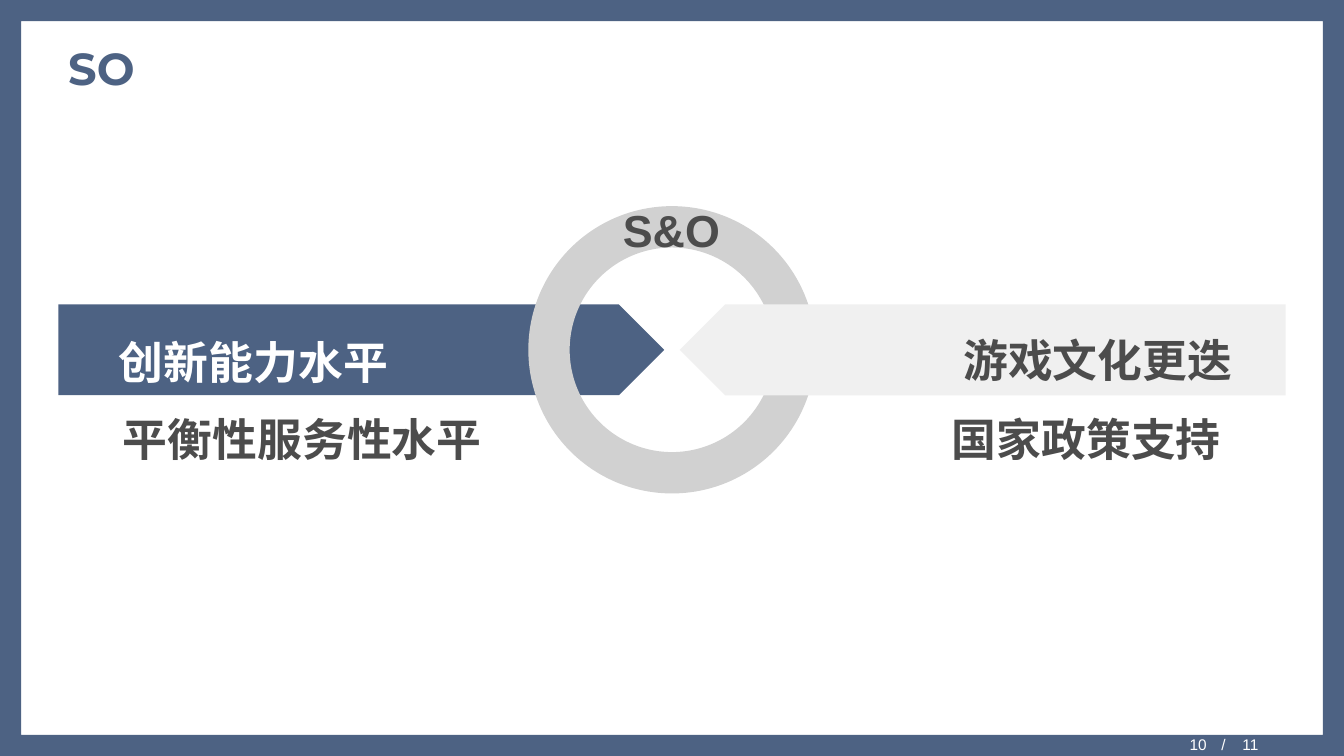
from pptx import Presentation
from pptx.dml.color import RGBColor
from pptx.enum.shapes import MSO_SHAPE as SHAPE
from pptx.enum.text import MSO_ANCHOR as ANCHOR, PP_ALIGN as ALIGN
from pptx.oxml import parse_xml
from pptx.oxml.ns import nsdecls
from pptx.util import Cm, Pt

# Content
BLUE, GREY, PALE, DARK, WHITE = "4D6283", "D1D1D1", "F0F0F0", "4C4C4C", "FFFFFF"
WIDE, HIGH = 33.87, 19.05
MONT, ARIAL = "Montserrat", "Arial"
LEFT, MID, RIGHT = ALIGN.LEFT, ALIGN.CENTER, ALIGN.RIGHT
TITLE = ("SO", 1.47, 0.71, 30.94, 2.01)
# text, left, top, width, height, font, colour, alignment, wrap
LABELS = [
    ("创新能力水平", 2.72, 8.05, 7.34, 1.78, MONT, WHITE, MID, False),
    ("游戏文化更迭", 24, 7.98, 7.34, 1.78, MONT, DARK, MID, False),
    ("平衡性服务性水平", 2.85, 9.98, 10.57, 5.51, ARIAL, DARK, LEFT, True),
    ("国家政策支持", 20.45, 9.98, 10.57, 5.51, MONT, DARK, RIGHT, True),
    ("S&O", 13.49, 4.72, 6.86, 4.9, ARIAL, DARK, MID, False),
]
PAGE = ("10", 24.08, 18.59, 6.58, 0.46)
TOTAL = ("/\t11", 30.53, 18.54, 3.33, 0.46)
TAB = 0.53

deck = Presentation()
deck.slide_width, deck.slide_height = Cm(WIDE), Cm(HIGH)
slide = deck.slides.add_slide(deck.slide_layouts[6])


def paint(fill, color):
    fill.solid()
    fill.fore_color.rgb = RGBColor.from_string(color)


def draw(kind, box, color, adjust=None):
    shape = slide.shapes.add_shape(kind, *map(Cm, box))
    shape.shadow.inherit = False
    shape.line.fill.background()
    paint(shape.fill, color)
    if adjust is not None:
        shape.adjustments[0] = adjust
    return shape


def write(text, *box, size=32, font=MONT, color=DARK, align=LEFT,
          wrap=True, anchor=ANCHOR.TOP, bold=True, tab=None):
    frame = slide.shapes.add_textbox(*map(Cm, box)).text_frame
    frame.word_wrap = wrap
    frame.vertical_anchor = anchor
    para = frame.paragraphs[0]
    para.text = text
    para.alignment = align
    if tab:
        para._p.get_or_add_pPr().append(parse_xml(
            f'<a:tabLst {nsdecls("a")}><a:tab pos="{Cm(tab)}" algn="l"/></a:tabLst>'))
    para.font.name, para.font.size, para.font.bold = font, Pt(size), bold
    paint(para.font.fill, color)
    return frame


# Frame and title
paint(slide.background.fill, WHITE)
draw(SHAPE.FRAME, (0, 0, WIDE, HIGH), BLUE, 0.028)
write(*TITLE, color=BLUE, anchor=ANCHOR.MIDDLE)

# Arrows mirrored about the ring: left one behind it, right one in front
edge, top, length, tall, ring = 1.47, 7.67, 15.27, 2.29, 7.24
draw(SHAPE.PENTAGON, (edge, top, length, tall), BLUE)
draw(SHAPE.DONUT, ((WIDE - ring) / 2, top + (tall - ring) / 2, ring, ring), GREY, 0.144)
draw(SHAPE.PENTAGON, (WIDE - edge - length, top, length, tall), PALE).rotation = 180

# Labels
for text, x, y, w, h, font, color, align, wrap in LABELS:
    para = write(text, x, y, w, h, font=font, color=color, align=align,
                 wrap=wrap).paragraphs[0]
    para.line_spacing = 1.2
    para.space_after = Pt(2)

# Page number
small = dict(size=11, font=ARIAL, color=WHITE, anchor=ANCHOR.MIDDLE, bold=False)
write(*TOTAL, tab=TAB, **small)
write(*PAGE, align=RIGHT, **small).margin_top = 0

deck.save("out.pptx")
